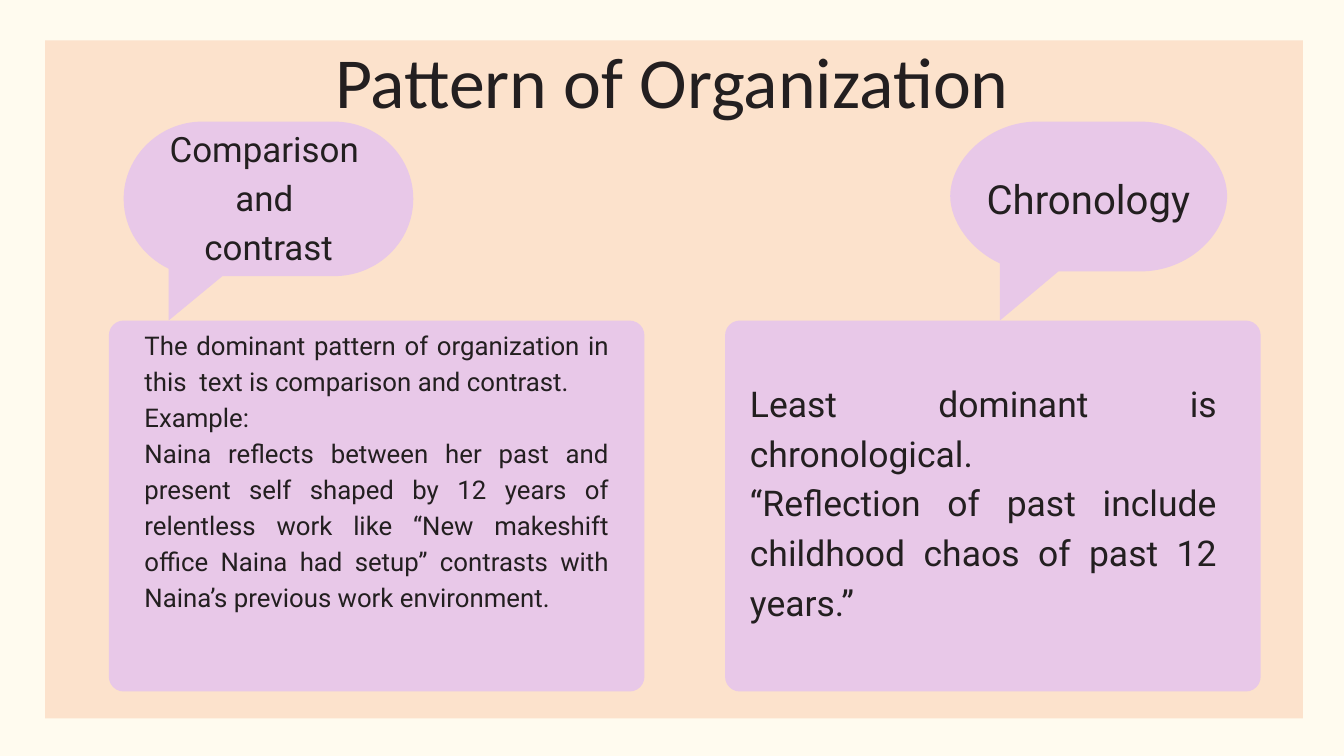
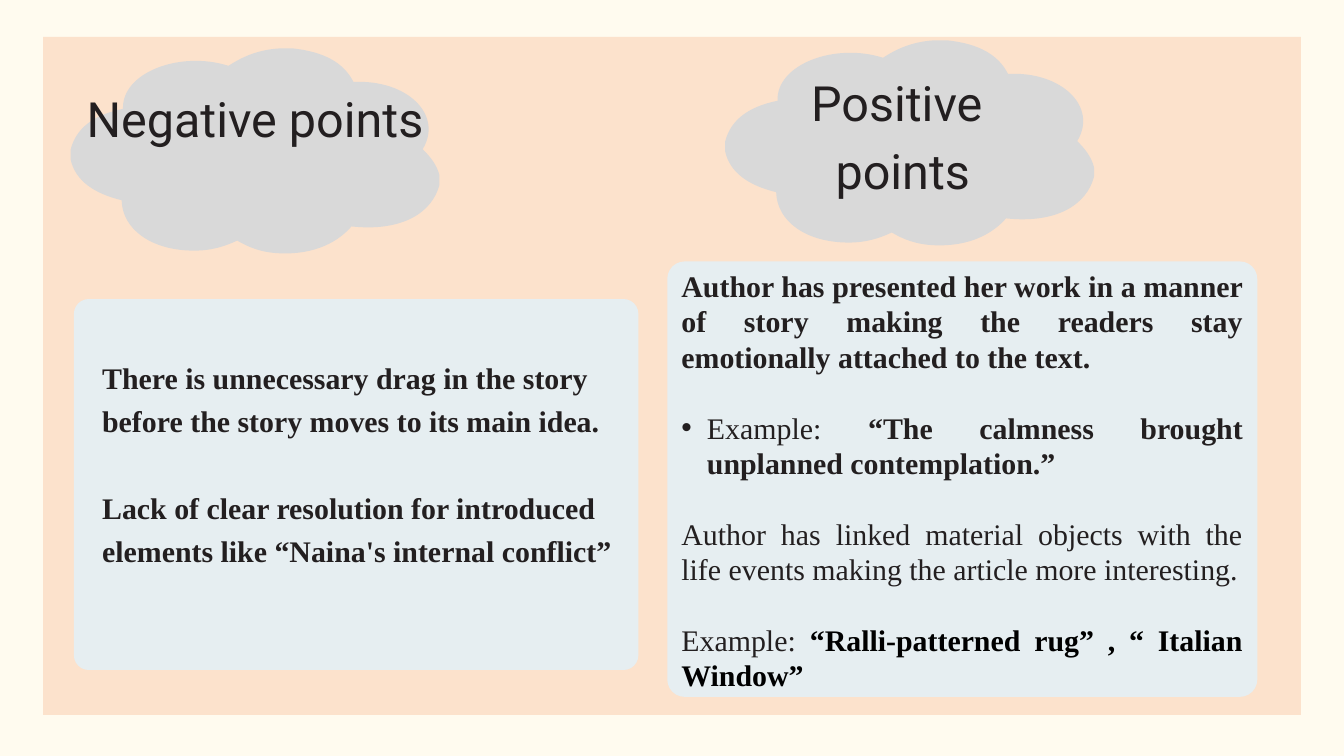
"""Build two slides on a text's patterns of organization and its weak and strong points."""
from lxml.etree import SubElement
from pptx import Presentation
from pptx.dml.color import RGBColor
from pptx.enum.shapes import MSO_SHAPE as Shape
from pptx.enum.text import MSO_ANCHOR as Anchor, MSO_AUTO_SIZE as AutoSize, PP_ALIGN as Align
from pptx.oxml.ns import qn
from pptx.util import Pt

PX = 9144
CREAM = RGBColor(0xFF, 0xFB, 0xEF)
PEACH = RGBColor(0xFA, 0xD1, 0xB4)
LILAC = RGBColor(0xE8, 0xC8, 0xE8)
GREY = RGBColor(0xD9, 0xD9, 0xD9)
MIST = RGBColor(0xE6, 0xEE, 0xF1)
INK = RGBColor(0x23, 0x1F, 0x20)
BLACK = RGBColor(0, 0, 0)
SERIF = "Times New Roman"


def write(shape, bounds, paragraphs, size, leading, font="Roboto",
          align=Align.CENTER, bold=False, gap=0):
    """Place the shape and fill it with paragraphs of (text, bold, colour) spans or plain strings."""
    shape.left, shape.top, shape.width, shape.height = [value * PX for value in bounds]
    frame = shape.text_frame
    frame.margin_left = frame.margin_right = frame.margin_top = frame.margin_bottom = 0
    frame.word_wrap = True
    frame.auto_size = AutoSize.SHAPE_TO_FIT_TEXT
    frame.vertical_anchor = Anchor.TOP
    for index, content in enumerate(paragraphs):
        para = frame.add_paragraph() if index else frame.paragraphs[0]
        para.alignment = align
        para.line_spacing = Pt(leading)
        para.space_before = Pt(gap if index else 0)
        spans = [(content, bold, INK)] if isinstance(content, str) else content
        for text, heavy, color in spans:
            span = para.add_run()
            span.text = text
            span.font.name = font
            span.font.size = Pt(size)
            span.font.bold = heavy
            span.font.color.rgb = color
    return frame


def outline(page, start, steps, shift=(0, 0)):
    """Draw a closed outline whose steps are lines (x, y) or cubic curves (three points)."""
    origin_x, origin_y = (value * PX for value in shift)
    builder = page.shapes.build_freeform(*start, scale=PX)
    builder.add_line_segments([step[-2:] for step in steps], close=True)
    shape = builder.convert_to_shape(origin_x, origin_y)
    track = next(shape.element.iter(qn("a:path")))
    left = min([start[0]] + [step[-2] for step in steps])
    top = min([start[1]] + [step[-1] for step in steps])
    right = max(x for step in steps for x in step[::2])
    bottom = max(y for step in steps for y in step[1::2])
    shape.width, shape.height = (right - left) * PX, (bottom - top) * PX
    track.set("w", str(right - left))
    track.set("h", str(bottom - top))
    for move in list(track):
        if move.tag != qn("a:close"):
            track.remove(move)
    tags = {2: "a:lnTo", 6: "a:cubicBezTo"}
    moves = [("a:moveTo", start)] + [(tags[len(step)], step) for step in steps]
    for index, (tag, values) in enumerate(moves):
        move = SubElement(track, qn(tag))
        track.insert(index, move)
        for x, y in zip(values[::2], values[1::2]):
            SubElement(move, qn("a:pt"), x=str(x - left), y=str(y - top))
    return shape


deck = Presentation()
deck.slide_width, deck.slide_height = 2000 * PX, 1125 * PX
background = deck.slide_master.background.fill
background.solid()
background.fore_color.rgb = CREAM

patterns = deck.slides.add_slide(deck.slide_layouts[5])
points_page = deck.slides.add_slide(deck.slide_layouts[6])
painted = []

for page, left, top in ((patterns, 67, 60), (points_page, 64, 55)):
    panel = page.shapes.add_shape(Shape.RECTANGLE, left * PX, top * PX, 1872 * PX, 1009 * PX)
    painted.append((panel, PEACH))
    if page.shapes.title is not None:
        page.shapes.title.element.addprevious(panel.element)

write(patterns.shapes.title, (478, 76, 1044, 219), ["Pattern of Organization"],
      76.9, 76.9, font="Calibri")

bubbles = (
    ((497, 181), ((301, 181), (237, 181, 184, 233, 184, 296), (184, 342, 212, 381, 251, 400),
                  (251, 477), (331, 411), (497, 411), (563, 411, 615, 359, 615, 296),
                  (615, 233, 563, 181, 497, 181))),
    ((1697, 181), ((1543, 181), (1472, 181, 1414, 238, 1414, 292),
                   (1414, 329, 1444, 372, 1488, 392), (1488, 477), (1575, 404), (1697, 404),
                   (1769, 404, 1826, 348, 1826, 292), (1826, 238, 1769, 181, 1697, 181))),
)
for start, steps in bubbles:
    painted.append((outline(patterns, start, steps), LILAC))

cloud = (
    (423, 72, 429, 72, 435, 72), (483, 77, 512, 94, 526, 122), (606, 118, 660, 171, 629, 222),
    (640, 233, 650, 245, 654, 261), (654, 266, 654, 271, 654, 275),
    (643, 317, 598, 345, 523, 337), (504, 359, 470, 379, 417, 377),
    (389, 376, 370, 368, 353, 358), (336, 366, 316, 373, 289, 373),
    (225, 373, 182, 341, 181, 298), (140, 288, 112, 269, 105, 237),
    (105, 232, 105, 228, 105, 223), (113, 191, 139, 171, 183, 162),
    (181, 108, 268, 75, 340, 98), (357, 87, 381, 74, 417, 72),
)
for shift in ((0, 0), (974, -12)):
    painted.append((outline(points_page, (417, 72), cloud, shift), GREY))

cards = (
    (patterns, LILAC, (162, 477, 797, 552)),
    (patterns, LILAC, (1079, 477, 797, 552)),
    (points_page, MIST, (110, 445, 840, 552)),
    (points_page, MIST, (993, 389, 878, 648)),
)
for page, color, bounds in cards:
    card = page.shapes.add_shape(Shape.ROUNDED_RECTANGLE, *[value * PX for value in bounds])
    card.adjustments[0] = 0.04
    painted.append((card, color))

for shape, color in painted:
    shape.shadow.inherit = False
    shape.line.fill.background()
    shape.fill.solid()
    shape.fill.fore_color.rgb = color
    if color == PEACH:
        tint = shape.element.spPr.find(qn("a:solidFill"))[0]
        SubElement(tint, qn("a:alpha"), val="59000")

headings = (
    (patterns, (240, 180, 320, 217), ["Comparison ", "and ", "contrast"], 37.4, 52.3),
    (patterns, (1429, 248, 381, 81), ["Chronology"], 43, 60.2),
    (points_page, (103, 118, 553, 198), ["Negative points"], 52, 72.8),
    (points_page, (1058, 94, 553, 198), ["Positive", " points"], 52, 72.8),
)
for page, bounds, lines, size, leading in headings:
    write(page.shapes.add_textbox(0, 0, 0, 0), bounds, lines, size, leading)

write(patterns.shapes.add_textbox(0, 0, 0, 0), (215, 483, 691, 543), [
    "The dominant pattern of organization in this  text is comparison and contrast.",
    "Example:",
    "Naina reflects between her past and present self shaped by 12 years of relentless work "
    "like “New makeshift office Naina had setup” contrasts with Naina’s previous work "
    "environment.",
], 27.6, 38.6, align=Align.JUSTIFY)

write(patterns.shapes.add_textbox(0, 0, 0, 0), (1116, 558, 695, 368), [
    "Least dominant is chronological. ",
    "“Reflection of past include childhood chaos of past 12 years.”",
], 38, 53.2, align=Align.JUSTIFY)

write(points_page.shapes.add_textbox(0, 0, 0, 0), (152, 524, 764, 317), [
    "There is unnecessary drag in the story before the story moves to its main idea.",
    "Lack of clear resolution for introduced elements like “Naina's internal\u00a0conflict”".replace(
        "\u00a0", chr(160)),
], 32, 46.4, font=SERIF, align=Align.LEFT, bold=True, gap=46.4)

strengths = write(points_page.shapes.add_textbox(0, 0, 0, 0), (1014, 399, 836, 638), [
    [("Author has presented her work in a manner of story making the readers stay "
      "emotionally attached to the text.", True, INK)],
    [("Example: ", False, INK), ("“The calmness brought unplanned contemplation.”", True, INK)],
    "Author has linked material objects with the life events making the article more "
    "interesting.",
    [("Example: ", False, INK), ("“Ralli-patterned rug” , “ Italian Window”", True, BLACK)],
], 32, 37.9, font=SERIF, align=Align.JUSTIFY, gap=37.9)

bulleted = strengths.paragraphs[1]._p.get_or_add_pPr()
bulleted.set("marL", str(38 * PX))
bulleted.set("indent", str(-38 * PX))
SubElement(bulleted, qn("a:buFont"), typeface="Arial")
SubElement(bulleted, qn("a:buChar"), char="•")

deck.save("out.pptx")
